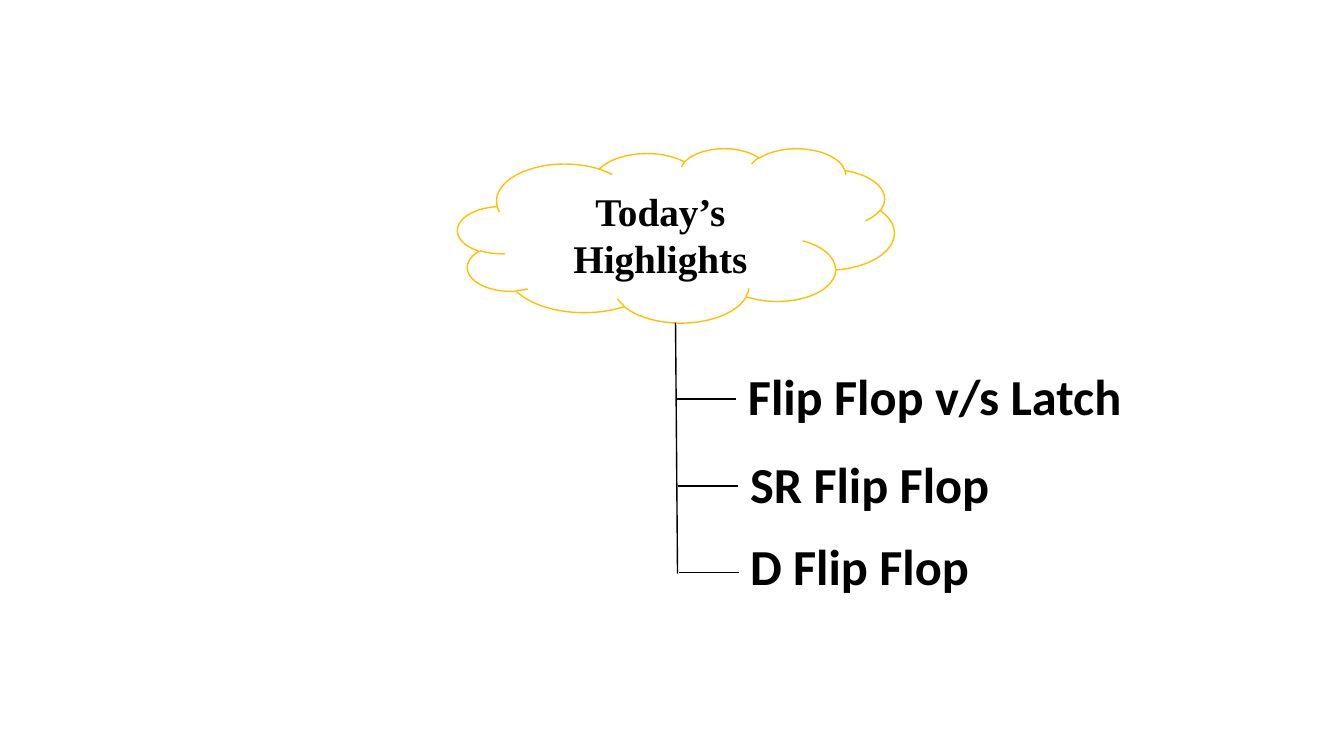
from dataclasses import dataclass

from lxml.etree import SubElement
from pptx import Presentation
from pptx.dml.color import RGBColor
from pptx.enum.shapes import MSO_CONNECTOR as Connector, MSO_SHAPE as Preset
from pptx.enum.text import MSO_ANCHOR as Anchor, MSO_AUTO_SIZE as AutoSize, PP_ALIGN as Align
from pptx.oxml.ns import qn
from pptx.slide import Slide
from pptx.text.text import TextFrame
from pptx.util import Emu, Pt

EMU_PER_PX = 9144
BLACK = "000000"
WHITE = "FFFFFF"
GOLD = "FFC000"
BRANCH_LENGTH = 60
LABEL_HEIGHT = 71


@dataclass(frozen=True)
class Topic:
    text: str
    branch_left: int
    branch_y: int
    label_left: int
    label_top: int
    label_width: int


TOPICS = [
    Topic("Flip Flop v/s Latch", 670, 396, 732, 357, 550),
    Topic("SR Flip Flop", 672, 482, 734, 445, 421),
    Topic("D Flip Flop", 673, 568, 734, 526, 435),
]


def px(length: int) -> Emu:
    return Emu(length * EMU_PER_PX)


def color(value: str) -> RGBColor:
    return RGBColor.from_string(value)


def write(frame: TextFrame, text: str, font_name: str, size: int, align: Align) -> None:
    frame.text = text
    paragraph = frame.paragraphs[0]
    paragraph.alignment = align
    font = paragraph.runs[0].font
    font.name = font_name
    font.size = Pt(size)
    font.bold = True
    font.color.rgb = color(BLACK)


def draw_line(slide: Slide, x1: int, y1: int, x2: int, y2: int) -> None:
    line = slide.shapes.add_connector(Connector.STRAIGHT, px(x1), px(y1), px(x2), px(y2))
    line.line.color.rgb = color(BLACK)
    line.line.width = Pt(1)
    SubElement(line.element.spPr, qn("a:effectLst"))


def draw_heading(slide: Slide) -> None:
    cloud = slide.shapes.add_shape(Preset.CLOUD, px(454), px(147), px(433), px(173))
    cloud.shadow.inherit = False
    cloud.fill.solid()
    cloud.fill.fore_color.rgb = color(WHITE)
    cloud.line.color.rgb = color(GOLD)
    cloud.line.width = Pt(1)

    heading = slide.shapes.title
    heading.left, heading.top = px(525), px(175)
    heading.width, heading.height = px(260), px(114)
    slide.shapes.element.append(heading.element)
    frame = heading.text_frame
    frame.word_wrap = True
    frame.auto_size = AutoSize.NONE
    frame.vertical_anchor = Anchor.MIDDLE
    write(frame, "Today’s Highlights", "Times New Roman", 28, Align.CENTER)


def draw_topic(slide: Slide, topic: Topic) -> None:
    draw_line(slide, topic.branch_left + BRANCH_LENGTH, topic.branch_y, topic.branch_left, topic.branch_y)
    label = slide.shapes.add_textbox(
        px(topic.label_left), px(topic.label_top), px(topic.label_width), px(LABEL_HEIGHT)
    )
    label.text_frame.word_wrap = True
    label.text_frame.auto_size = AutoSize.SHAPE_TO_FIT_TEXT
    write(label.text_frame, topic.text, "Calibri", 36, Align.LEFT)


def main() -> None:
    deck = Presentation()
    deck.slide_width, deck.slide_height = px(1333), px(750)
    slide = deck.slides.add_slide(deck.slide_layouts.get_by_name("Title Only"))
    draw_heading(slide)
    draw_line(slide, 670, 320, 672, 569)
    for topic in TOPICS:
        draw_topic(slide, topic)
    deck.save("out.pptx")


if __name__ == "__main__":
    main()
